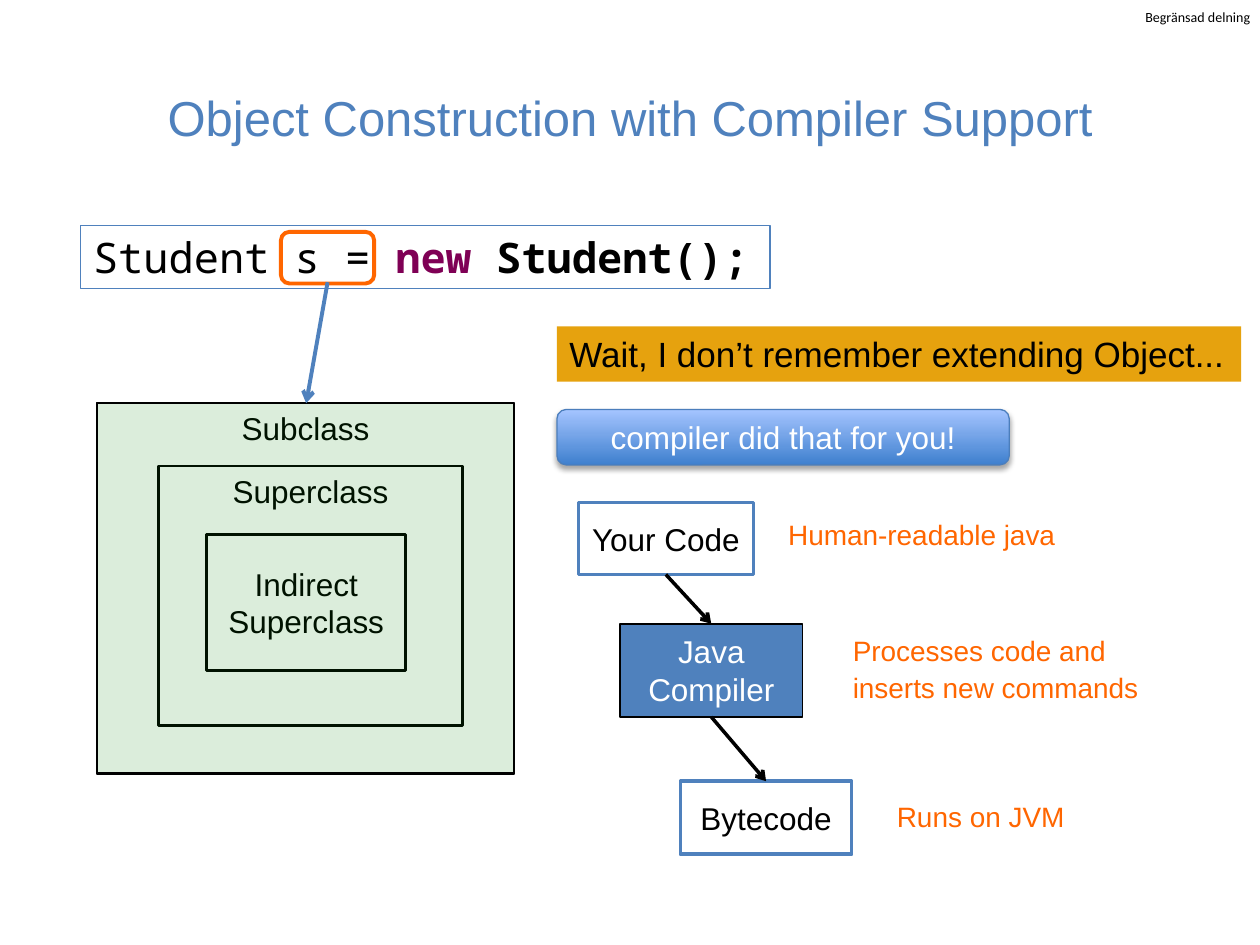
from lxml import etree
from pptx import Presentation
from pptx.dml.color import RGBColor as RGB
from pptx.enum.shapes import MSO_CONNECTOR as Link, MSO_SHAPE as Kind
from pptx.enum.text import MSO_ANCHOR as Anchor, PP_ALIGN as Align
from pptx.oxml.ns import qn
from pptx.util import Inches, Pt

BLUE, BLACK, WHITE, ORANGE = "4F81BD", "000000", "FFFFFF", "FF6600"


def paint(color, value):
    color.rgb = RGB.from_string(value)


def write(shape, runs, size, color=BLACK, font="Arial", align=Align.LEFT,
          anchor=Anchor.TOP, wrap=True, space=None, inset=None):
    """Each run is (text,) or (text, bold, color)."""
    frame = shape.text_frame
    frame.word_wrap = wrap
    frame.vertical_anchor = anchor
    if inset is not None:
        frame.margin_left = frame.margin_right = Inches(inset)
        frame.margin_top = frame.margin_bottom = Inches(inset)
    para = frame.paragraphs[0]
    para.alignment = align
    if space:
        para.line_spacing = space
    for text, *style in runs:
        bold, tint = style or (False, color)
        run = para.add_run()
        run.text = text
        run.font.name = font
        run.font.size = Pt(size)
        run.font.bold = bold
        paint(run.font.color, tint)


def label(slide, box, text, size, **style):
    shape = slide.shapes.add_textbox(*map(Inches, box))
    write(shape, [(text,)], size, **style)


def block(slide, box, fill=None, line=None, width=1, kind=Kind.RECTANGLE):
    shape = slide.shapes.add_shape(kind, *map(Inches, box))
    shape.shadow.inherit = False
    if fill:
        shape.fill.solid()
        paint(shape.fill.fore_color, fill)
    else:
        shape.fill.background()
    if line:
        paint(shape.line.color, line)
        shape.line.width = Pt(width)
    else:
        shape.line.fill.background()
    return shape


def arrow(slide, start, end, color, width):
    link = slide.shapes.add_connector(
        Link.STRAIGHT, *map(Inches, (*start, *end)))
    paint(link.line.color, color)
    link.line.width = Pt(width)
    etree.SubElement(link.line._get_or_add_ln(), qn("a:tailEnd"), type="arrow")
    etree.SubElement(link._element.spPr, qn("a:effectLst"))


def header(slide, box):
    title = slide.shapes.title
    title.left, title.top, title.width, title.height = map(Inches, box)
    write(title, [("Object Construction with Compiler Support",)], 28, BLUE,
          align=Align.CENTER, anchor=Anchor.MIDDLE)
    label(slide, (9.09, 0.07, 0.86, 0.13), "Begränsad delning", 8,
          font="Calibri", wrap=False, inset=0)


def code(slide, box):
    x, y = box[:2]
    bar = block(slide, box, line=BLUE)
    write(bar, [("Student s = ",), ("new", True, "7F0055"),
                (" Student();", True, BLACK)],
          24, font="Noto Sans Mono", wrap=False)
    # Ring around the variable, and its arrow to the object
    block(slide, (x + 1.59, y + 0.05, 0.74, 0.41), line=ORANGE, width=2.25,
          kind=Kind.ROUNDED_RECTANGLE)
    arrow(slide, (x + 1.96, y + 0.45), (x + 1.79, y + 1.41), BLUE, 2.25)


def nest(slide, box):
    x, y = box[:2]
    parts = [
        ("Subclass", box, None, Anchor.TOP),
        ("Indirect Superclass", (x + 0.87, y + 1.04, 1.58, 1.08), WHITE,
         Anchor.MIDDLE),
        ("Superclass", (x + 0.49, y + 0.5, 2.41, 2.06), None, Anchor.TOP),
    ]
    for text, place, fill, anchor in parts:
        shape = block(slide, place, fill, BLACK, 1.5)
        write(shape, [(text,)], 18, align=Align.CENTER, anchor=anchor)
    # Green tint over the whole nest
    tint = block(slide, box, "008000", BLACK, 1.5)
    color = tint.fill._xPr.find(qn("a:solidFill"))[0]
    etree.SubElement(color, qn("a:alpha"), val="14000")


def remark(slide, box):
    x, y, wide, high = box
    note = block(slide, box, "E6A20E")
    write(note, [("Wait, I don’t remember extending Object...",)], 20)
    # Answer with gradient and soft shadow
    reply = block(slide, (x, y + 0.66, 3.59, high), WHITE, "4B7EBC", 0.75,
                  Kind.ROUNDED_RECTANGLE)
    reply.fill.gradient()
    reply.fill.gradient_angle = 90
    for stop, tone in zip(reply.fill.gradient_stops, ("3F80CE", "A4C4FF")):
        paint(stop.color, tone)
    effects = reply._element.spPr.find(qn("a:effectLst"))
    shade = etree.SubElement(
        effects, qn("a:outerShdw"), blurRad=str(Pt(3.1)), dist=str(Pt(1.8)),
        dir="5400000", rotWithShape="0")
    tone = etree.SubElement(shade, qn("a:srgbClr"), val=BLACK)
    etree.SubElement(tone, qn("a:alpha"), val="35000")
    write(reply, [("compiler did that for you!",)], 18, WHITE,
          align=Align.CENTER, anchor=Anchor.MIDDLE)


def flow(slide, box):
    x, y = box[:2]
    # Step text, its box, fill, line, line width, text colour, note, note box
    steps = [
        ("Your Code", (0, 0, 1.39, 0.57), WHITE, BLUE, 2, BLACK,
         "Human-readable java", (1.49, 0.04, 2.47, 0.39), Align.CENTER),
        ("Java Compiler", (0.33, 0.96, 1.45, 0.74), BLUE, BLACK, 1, WHITE,
         "Processes code and inserts new commands", (2.08, 0.96, 2.7, 0.69),
         Align.LEFT),
        ("Bytecode", (0.81, 2.21, 1.36, 0.58), WHITE, BLUE, 2, BLACK,
         "Runs on JVM", (2.43, 2.28, 1.74, 0.39), Align.LEFT),
    ]
    last = None
    for text, spot, fill, line, width, ink, note, side, align in steps:
        left, top, wide, high = spot
        shape = block(slide, (x + left, y + top, wide, high),
                      fill, line, width)
        write(shape, [(text,)], 18, ink, align=Align.CENTER,
              anchor=Anchor.MIDDLE)
        label(slide, (x + side[0], y + side[1], *side[2:]), note, 16,
              color=ORANGE, align=align, space=1.1)
        mid = x + left + wide / 2
        if last:
            arrow(slide, last, (mid, y + top), BLACK, 2)
        last = mid, y + top + high


def main():
    deck = Presentation()
    deck.slide_width, deck.slide_height = Inches(10), Inches(7.5)
    slide = deck.slides.add_slide(deck.slide_layouts[5])
    header(slide, (0.5, 0.3, 9, 1.25))
    nest(slide, (0.77, 3.2, 3.31, 2.94))
    code(slide, (0.64, 1.79, 5.47, 0.5))
    remark(slide, (4.42, 2.59, 5.43, 0.44))
    flow(slide, (4.59, 3.99, 4.78, 2.79))
    deck.save("out.pptx")


if __name__ == "__main__":
    main()
